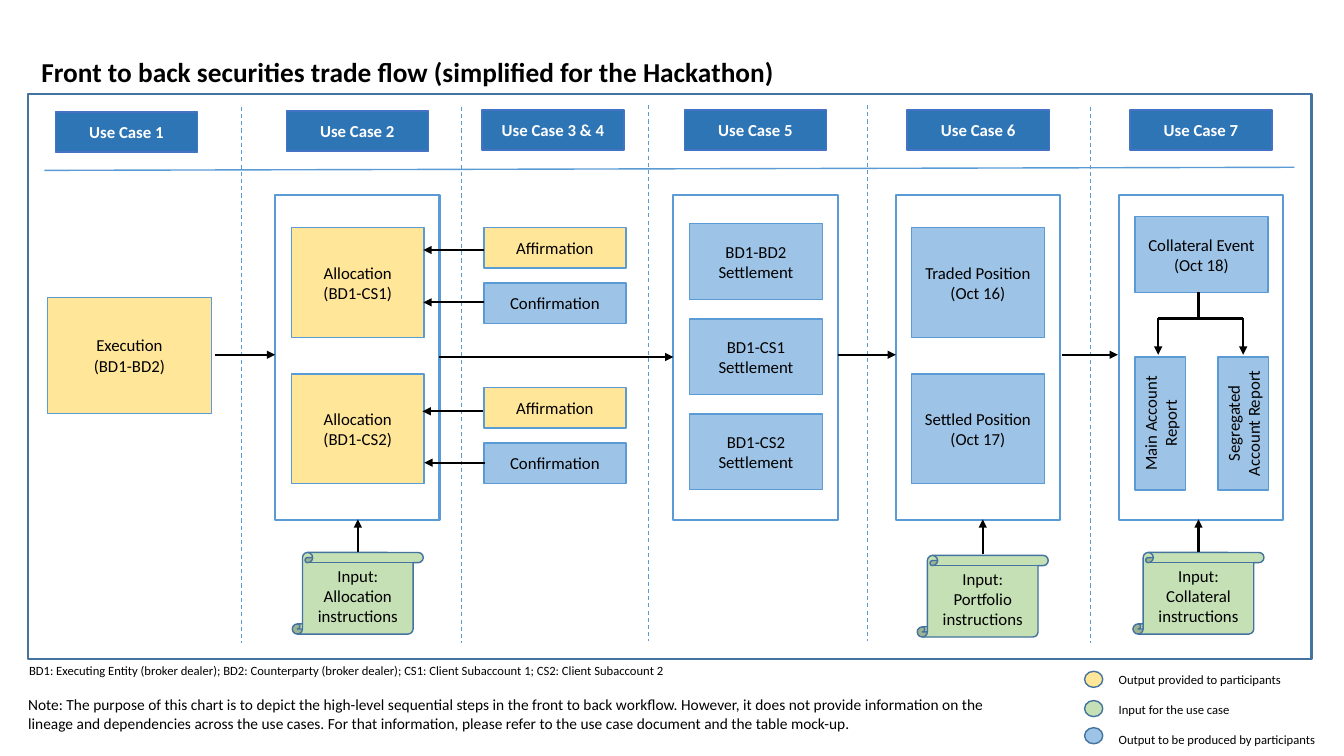
"""Build a slide showing the front to back securities trade flow by use case."""
import pptx
import pptx.util
import pptx.dml.color
import pptx.enum.dml
import pptx.enum.shapes
import pptx.enum.text
import lxml.etree

Pt = pptx.util.Pt
SHAPE = pptx.enum.shapes.MSO_SHAPE
ALIGN = pptx.enum.text.PP_ALIGN
ANCHOR = pptx.enum.text.MSO_ANCHOR

COLORS = {
    "black": "000000", "white": "FFFFFF", "provided": "FFE699", "produced": "9DC3E6",
    "input": "C5E0B4", "header": "2E75B6", "header_line": "4472C4",
    "edge": "5B9BD5", "dark_edge": "43739E",
}

TITLE = "Front to back securities trade flow (simplified for the Hackathon)"
ABBREVIATIONS = ("BD1: Executing Entity (broker dealer); BD2: Counterparty (broker dealer); "
                 "CS1: Client Subaccount 1; CS2: Client Subaccount 2")
NOTE = ("Note: The purpose of this chart is to depict the high-level sequential steps in the "
        "front to back workflow. However, it does not provide information on the lineage and "
        "dependencies across the use cases. For that information, please refer to the use case "
        "document and the table mock-up.")

HEADERS = [("Use Case 1", 39.6, 79.9), ("Use Case 2", 204.5, 79.2),
           ("Use Case 3 & 4", 344.2, 78.5), ("Use Case 5", 488.9, 78.5),
           ("Use Case 6", 648, 78.5), ("Use Case 7", 807.1, 78.5)]
DIVIDERS = [(172.8, 76.3), (329.8, 76.3), (463, 75), (619.9, 75), (779, 76.3)]
PANELS = [196.6, 481, 640, 799.2]

STACKS = [
    (33.8, 212.4, 117.4, 82.8, 0, [("Execution\n(BD1-BD2)", "provided")]),
    (208, 162.7, 95, 78.5, 104.4, [("Allocation\n(BD1-CS1)", "provided"),
                                   ("Allocation\n(BD1-CS2)", "provided")]),
    (345.6, 162.7, 101.5, 28.8, 39.4, [("Affirmation", "provided"),
                                       ("Confirmation", "produced")]),
    (345.6, 277, 101.5, 28.8, 39.4, [("Affirmation", "provided"),
                                     ("Confirmation", "produced")]),
    (492.5, 159.8, 95, 54, 68, [("BD1-BD2 Settlement", "produced"),
                                ("BD1-CS1 Settlement", "produced"),
                                ("BD1-CS2 Settlement", "produced")]),
    (651, 162.7, 95, 78.5, 104.4, [("Traded Position (Oct 16)", "produced"),
                                   ("Settled Position (Oct 17)", "produced")]),
    (810.7, 154.8, 95, 54, 0, [("Collateral Event (Oct 18)", "produced")]),
]
REPORTS = [("Main Account Report", 781.2), ("Segregated Account Report", 840.5)]
SCROLLS = [("Input: Allocation instructions", 208.8, 394.6),
           ("Input: Portfolio instructions", 655.2, 396.7),
           ("Input: Collateral instructions", 809.3, 394.6)]
FLOWS = [(153.4, 196.6, 253.4), (313.9, 481, 255), (598.3, 640, 253.4), (758.9, 798.5, 253.4)]
FEEDBACK = [(345.6, 178.6), (345.6, 216), (345, 293.8), (346.3, 330.5)]
INPUT_ARROWS = [(255.6, 394.6), (702, 396), (856.1, 394.6)]
FORK_LEFT, FORK_MID, FORK_RIGHT, FORK_Y = 827.3, 856.1, 888, 227.5
LEGEND = [("Output provided to participants", "provided", 479.5, 476.6, 131.8),
          ("Input for the use case", "input", 500.4, 497.5, 94.3),
          ("Output to be produced by participants", "produced", 519.8, 519.1, 156.2)]

prs = pptx.Presentation()
prs.slide_width, prs.slide_height = Pt(960), Pt(540)
s = prs.slides.add_slide(prs.slide_layouts[5])


def rgb(name):
    """Return the named colour."""
    return pptx.dml.color.RGBColor.from_string(COLORS[name])


def write(sp, text, size=12, color="black", bold=False, align=ALIGN.CENTER,
          anchor=ANCHOR.MIDDLE, wrap=True, spacing=None):
    """Put formatted text into a shape, one paragraph per line."""
    tf = sp.text_frame
    tf.text = text
    tf.word_wrap = wrap
    tf.auto_size = pptx.enum.text.MSO_AUTO_SIZE.NONE
    tf.vertical_anchor = anchor
    for p in tf.paragraphs:
        p.alignment = align
        if spacing:
            p.line_spacing = spacing
        for r in p.runs:
            r.font.name, r.font.size, r.font.bold = "Calibri", Pt(size), bold
            r.font.color.rgb = rgb(color)


def add_box(x, y, w, h, fill=None, edge="edge", weight=1, kind=SHAPE.RECTANGLE):
    """Add a filled or hollow preset shape."""
    sp = s.shapes.add_shape(kind, Pt(x), Pt(y), Pt(w), Pt(h))
    sp.shadow.inherit = False
    if fill:
        sp.fill.solid()
        sp.fill.fore_color.rgb = rgb(fill)
    else:
        sp.fill.background()
    sp.line.color.rgb = rgb(edge)
    sp.line.width = Pt(weight)
    return sp


def add_line(x1, y1, x2, y2, color="black", weight=1.5, arrow=False, dash=False):
    """Add a straight line, optionally dashed or with an arrowhead at its end."""
    line = s.shapes.add_connector(pptx.enum.shapes.MSO_CONNECTOR.STRAIGHT,
                                  Pt(x1), Pt(y1), Pt(x2), Pt(y2))
    line.line.color.rgb = rgb(color)
    line.line.width = Pt(weight)
    if dash:
        line.line.dash_style = pptx.enum.dml.MSO_LINE.DASH
    ns = "{http://schemas.openxmlformats.org/drawingml/2006/main}"
    props = line.element.spPr
    if arrow:
        lxml.etree.SubElement(props.find(ns + "ln"), ns + "tailEnd", type="triangle")
    lxml.etree.SubElement(props, ns + "effectLst")


def add_label(text, x, y, w, h, **fmt):
    """Add a left-aligned text box."""
    sp = s.shapes.add_textbox(Pt(x), Pt(y), Pt(w), Pt(h))
    write(sp, text, align=ALIGN.LEFT, anchor=ANCHOR.TOP, **fmt)


def main():
    """Lay out the slide and save it."""
    title = s.shapes.title
    title.left, title.top, title.width, title.height = Pt(22.3), Pt(28.8), Pt(828), Pt(38.2)
    write(title, TITLE, size=19.5, bold=True, align=ALIGN.LEFT, anchor=ANCHOR.BOTTOM, spacing=0.9)

    add_box(20.2, 67, 916.6, 403.9, edge="dark_edge", weight=1.5)
    for x in PANELS:
        add_box(x, 139, 117.4, 232.6, fill="white", weight=1.5)
    for x, y, w, h, step, items in STACKS:
        for i, (text, fill) in enumerate(items):
            write(add_box(x, y + i * step, w, h, fill=fill), text)
    for text, x in REPORTS:
        sp = add_box(x, 284.4, 95, 36, fill="produced")
        sp.rotation = 270
        write(sp, text)
    for text, x, y in SCROLLS:
        write(add_box(x, y, 93.6, 58.3, fill="input", edge="dark_edge",
                      kind=SHAPE.VERTICAL_SCROLL), text)
    for text, x, y in HEADERS:
        write(add_box(x, y, 101.5, 28.8, fill="header", edge="header_line"), text,
              color="white", bold=True)

    for x, y in DIVIDERS:
        add_line(x, y, x, y + 383, color="edge", weight=0.75, dash=True)
    add_line(31.7, 121.7, 924.5, 119.5, color="edge", weight=1)
    for x1, x2, y in FLOWS:
        add_line(x1, y, x2, y, arrow=True)
    for x, y in FEEDBACK:
        add_line(x, y, x - 43.2, y, arrow=True)
    for x, y in INPUT_ARROWS:
        add_line(x, y, x, 371, arrow=True)
    add_line(FORK_MID, 208.8, FORK_MID, FORK_Y)
    add_line(FORK_LEFT, FORK_Y, FORK_RIGHT, FORK_Y)
    for x in (FORK_LEFT, FORK_RIGHT):
        add_line(x, FORK_Y, x, 253.4, arrow=True)

    for text, fill, dot_y, text_y, w in LEGEND:
        add_box(774.7, dot_y, 13, 11.5, fill=fill, edge="dark_edge", kind=SHAPE.OVAL)
        add_label(text, 792, text_y, w, 18, size=9, wrap=False)
    add_label(ABBREVIATIONS, 13.7, 470.2, 712.8, 18, size=9)
    add_label(NOTE, 13, 493.2, 712.8, 33.8, size=11)
    prs.save("out.pptx")


if __name__ == "__main__":
    main()
